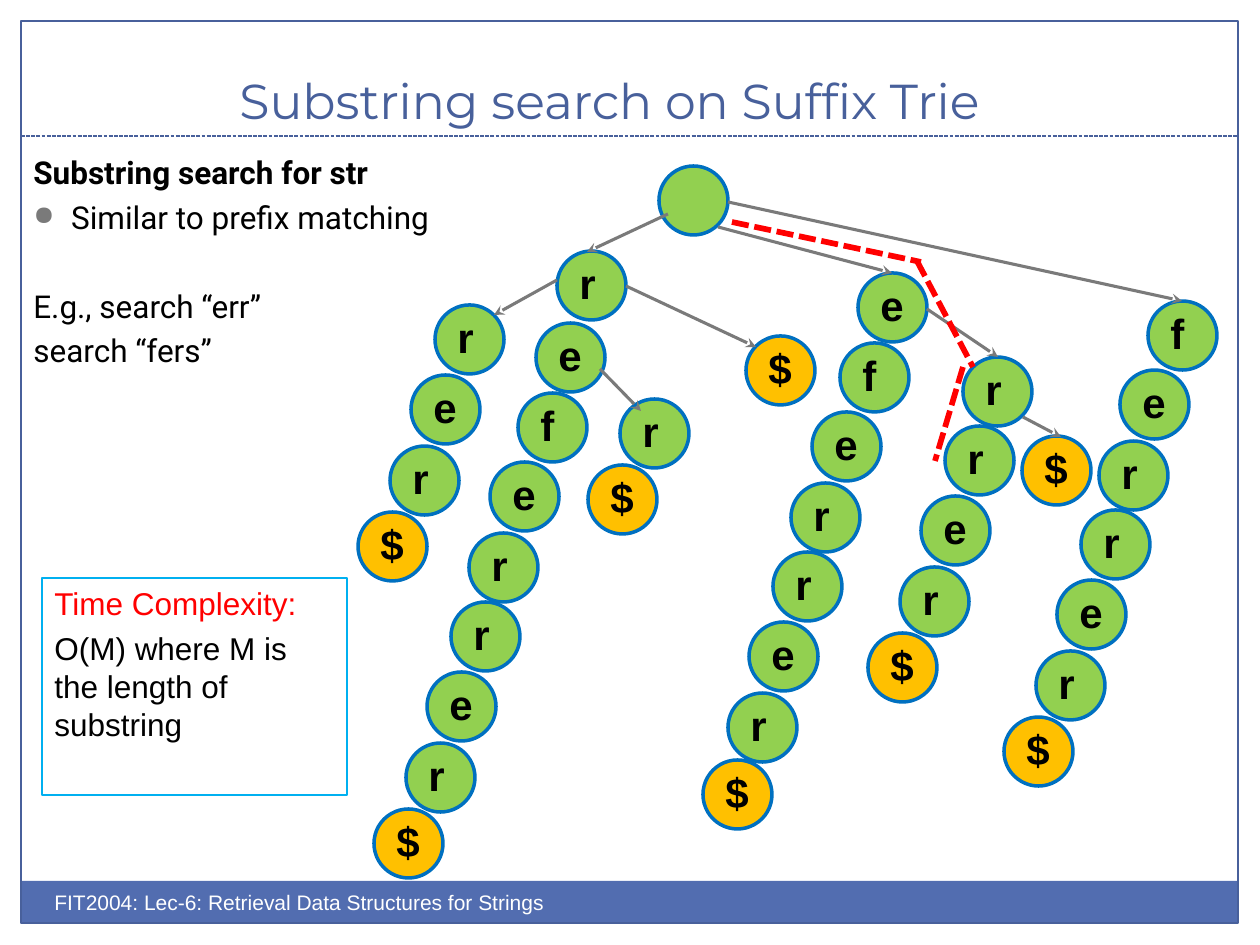
from lxml.etree import SubElement
from pptx import Presentation
from pptx.dml.color import RGBColor
from pptx.enum.dml import MSO_LINE
from pptx.enum.shapes import MSO_CONNECTOR, MSO_SHAPE
from pptx.enum.text import MSO_ANCHOR, PP_ALIGN
from pptx.oxml.ns import qn
from pptx.util import Emu, Inches, Pt

SCALE = 914400 // 126
NODE_SIZE = 69
LABEL_WIDTHS = {"r": 42, "e": 49, "f": 39, "$": 49}
# Offset from a node to the next one in a chain, by the pair of letters
STEPS = {"re": (-24, 70), "er": (-21, 71), "rr": (-18, 69),
         "r$": (-32, 66), "ef": (-18, 70), "fe": (-28, 69)}


def px(*lengths):
    return [Emu(length * SCALE) for length in lengths]


def color(value):
    return RGBColor.from_string(value)


class TrieSlide:
    blue, bar, gray, red, black = "48609B", "526DB0", "7A7A7A", "FF0000", "000000"
    green, gold, outline, frame = "92D050", "FFC000", "0070C0", "00B0F0"

    def __init__(self, presentation):
        self.slide = presentation.slides.add_slide(presentation.slide_layouts[6])
        self.shapes = self.slide.shapes

    def shape(self, kind, box, fill=None, line=None, width=0.75, parent=None):
        shape = (parent or self.shapes).add_shape(kind, *px(*box))
        shape.shadow.inherit = False
        if fill:
            shape.fill.solid()
            shape.fill.fore_color.rgb = color(fill)
        else:
            shape.fill.background()
        if line:
            shape.line.color.rgb = color(line)
            shape.line.width = Pt(width)
        else:
            shape.line.fill.background()
        return shape

    def text_box(self, box, parent=None, wrap=True):
        text_box = (parent or self.shapes).add_textbox(*px(*box))
        text_box.text_frame.word_wrap = wrap
        return text_box.text_frame

    def paragraph(self, frame, text, size, font="Arial", fill=black, bold=False, before=0):
        paragraph = frame.paragraphs[0]
        if paragraph.runs:
            paragraph = frame.add_paragraph()
        paragraph.text = text
        paragraph.alignment = PP_ALIGN.LEFT
        paragraph.space_before = Pt(before)
        paragraph.font.size = Pt(size)
        paragraph.font.name = font
        paragraph.font.bold = bold
        paragraph.font.color.rgb = color(fill)
        return paragraph

    def bullet(self, paragraph):
        properties = paragraph._p.get_or_add_pPr()
        indent = Inches(0.3)
        properties.set("marL", str(indent))
        properties.set("indent", str(-indent))
        # Bullet elements must stand before the default run properties
        defaults = properties.find(qn("a:defRPr"))
        bullet_color = SubElement(properties, qn("a:buClr"))
        SubElement(bullet_color, qn("a:srgbClr"), val=self.gray)
        SubElement(properties, qn("a:buSzPct"), val="85000")
        SubElement(properties, qn("a:buChar"), char="●")
        if defaults is not None:
            properties.append(defaults)

    def line(self, ends, fill, width, dashed=False, arrow=False):
        connector = self.shapes.add_connector(MSO_CONNECTOR.STRAIGHT, *px(*ends))
        connector.line.color.rgb = color(fill)
        connector.line.width = Pt(width)
        if dashed:
            connector.line.dash_style = MSO_LINE.SQUARE_DOT
        if arrow:
            SubElement(connector.line._get_or_add_ln(), qn("a:tailEnd"), type="stealth")
        SubElement(connector._element.spPr, qn("a:effectLst"))

    def node(self, left, top, letter=None):
        parent = self.shapes.add_group_shape().shapes if letter else self.shapes
        fill = self.gold if letter == "$" else self.green
        self.shape(MSO_SHAPE.OVAL, (left, top, NODE_SIZE, NODE_SIZE),
                   fill, self.outline, 2, parent)
        if letter:
            label = self.text_box((left + 10, top, LABEL_WIDTHS[letter], 63), parent, False)
            self.paragraph(label, letter, 24, bold=True)

    def chain(self, letters, left, top):
        self.node(left, top, letters[0])
        for first, second in zip(letters, letters[1:]):
            step_x, step_y = STEPS[first + second]
            left, top = left + step_x, top + step_y
            self.node(left, top, second)


presentation = Presentation()
presentation.slide_width, presentation.slide_height = Inches(10), Inches(7.5)
trie = TrieSlide(presentation)

# Frame, footer and title
trie.shape(MSO_SHAPE.RECTANGLE, (21, 881, 1217, 43), trie.bar)
trie.shape(MSO_SHAPE.RECTANGLE, (21, 21, 1217, 902), line=trie.blue)
trie.line((21, 136, 1238, 136), trie.blue, 0.75, dashed=True)
title = trie.text_box((-10, 32, 1239, 104))
title.vertical_anchor = MSO_ANCHOR.BOTTOM
trie.paragraph(title, "Substring search on Suffix Trie", 28, "Montserrat",
               trie.blue).alignment = PP_ALIGN.CENTER
footer = trie.text_box((42, 883, 630, 50))
trie.paragraph(footer, "FIT2004: Lec-6: Retrieval Data Structures for Strings", 12,
               fill="FFFFFF")

# Explanation
body = trie.text_box((21, 147, 546, 699))
trie.paragraph(body, "Substring search for str", 18, "Roboto", bold=True, before=4)
trie.bullet(trie.paragraph(body, "Similar to prefix matching", 18, "Roboto", before=4))
trie.paragraph(body, "E.g., search “err”", 18, "Roboto", before=29)
trie.paragraph(body, "search “fers”", 18, "Roboto", before=4)

# Trie nodes
trie.node(659, 166)
for letters, left, top in [
    ("r", 557, 251), ("eferrer$", 536, 323), ("rer$", 435, 305),
    ("r$", 620, 399), ("$", 746, 336), ("eferrer", 858, 273),
    ("$", 703, 760), ("ferrer$", 1148, 301), ("rrer$", 963, 357),
    ("$", 1022, 436),
]:
    trie.chain(letters, left, top)

# Branches
for ends in [
    (668, 214, 587, 252), (718, 227, 892, 273), (728, 202, 1182, 301),
    (927, 309, 998, 357), (1023, 417, 1061, 437), (600, 369, 641, 411),
    (557, 280, 494, 315), (626, 286, 756, 347),
]:
    trie.line(ends, trie.gray, 1.75, arrow=True)

# Complexity box
complexity = trie.shape(MSO_SHAPE.RECTANGLE, (42, 578, 305, 217), line=trie.frame).text_frame
complexity.word_wrap = True
complexity.vertical_anchor = MSO_ANCHOR.TOP
trie.paragraph(complexity, "Time Complexity:", 18, fill=trie.red, before=4)
trie.paragraph(complexity, "O(M) where M is the length of substring", 18, before=4)

# Search path
for ends in [(732, 222, 921, 262), (917, 261, 973, 367), (963, 367, 935, 461)]:
    trie.line(ends, trie.red, 3.25, dashed=True)

presentation.save("out.pptx")
